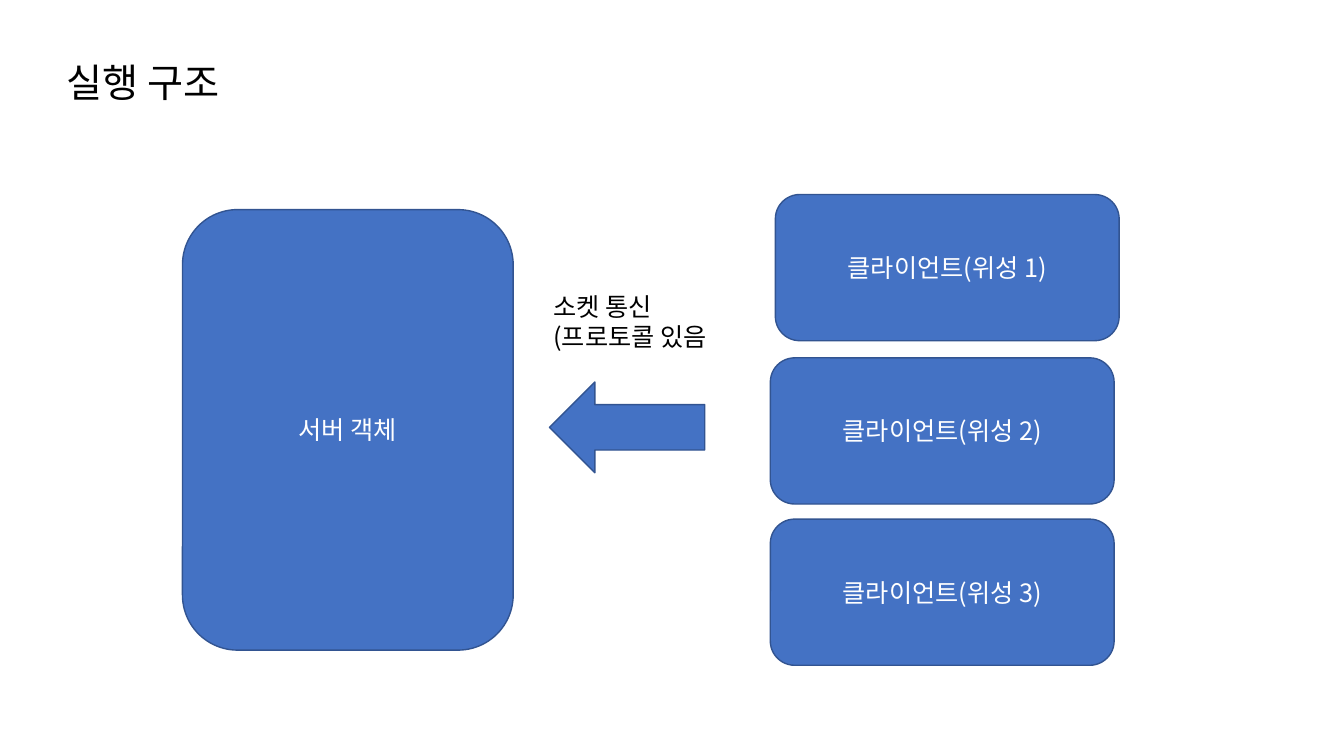
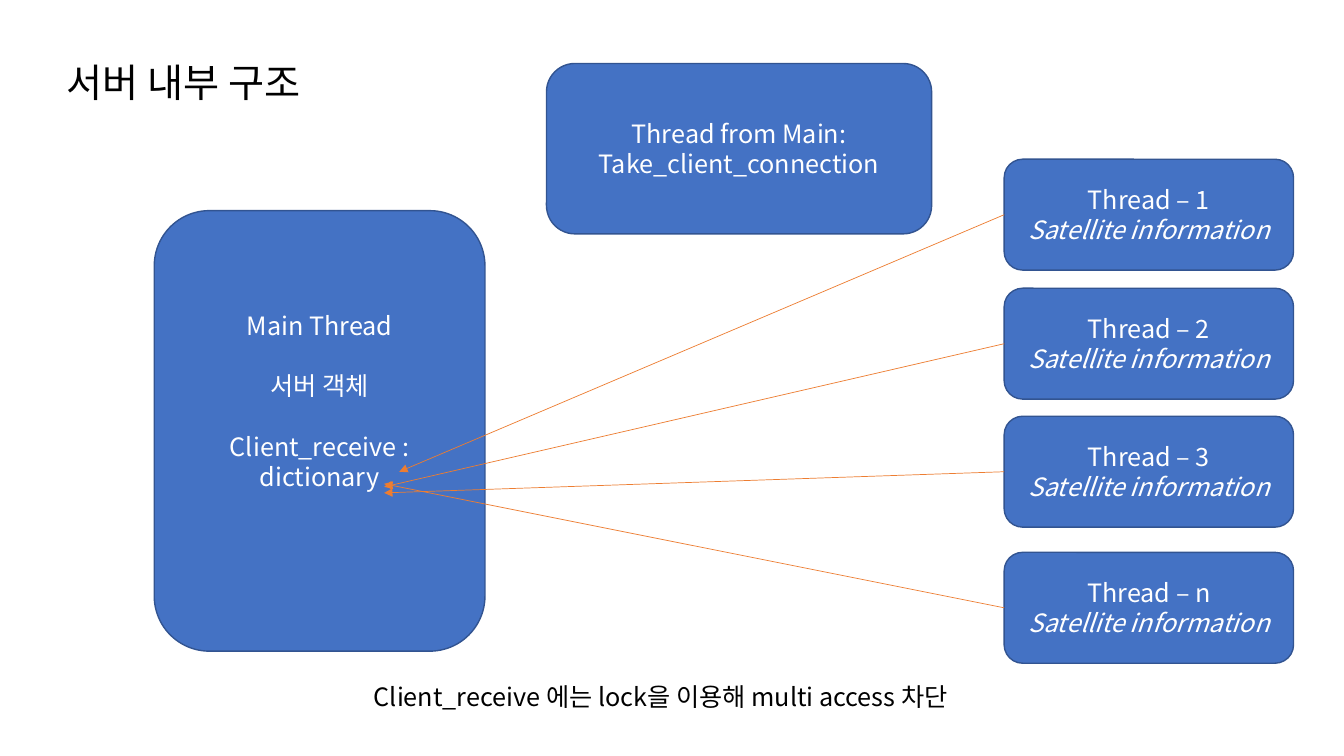
import pptx
import pptx.util
import pptx.dml.color
import pptx.enum.shapes
import pptx.enum.text
import pptx.oxml.ns
from lxml import etree

Inches = pptx.util.Inches
Pt = pptx.util.Pt
rgb = pptx.dml.color.RGBColor.from_string
qn = pptx.oxml.ns.qn
Shape = pptx.enum.shapes.MSO_SHAPE
Align = pptx.enum.text.PP_ALIGN
Anchor = pptx.enum.text.MSO_ANCHOR

FONT = "Noto Sans CJK KR"
BLUE, BLUE_EDGE, ORANGE = "4472C4", "325491", "ED7D31"
WHITE, BLACK = "FFFFFF", "000000"


def write(frame, lines, color=BLACK, align=Align.LEFT, size=18, anchor=Anchor.TOP):
    frame.word_wrap = True
    frame.vertical_anchor = anchor
    frame.text = "\n".join(lines)
    for para in frame.paragraphs:
        para.alignment = align
        para.line_spacing = Pt(size * 1.2)
        para.font.size = Pt(size)
        para.font.name = FONT
        para.font.color.rgb = rgb(color)
        defaults = para._p.pPr.find(qn("a:defRPr"))
        etree.SubElement(defaults, qn("a:ea"), typeface=FONT)


def add_block(page, kind, left, top, width, height, lines=()):
    block = page.shapes.add_shape(
        kind, Inches(left), Inches(top), Inches(width), Inches(height))
    block.shadow.inherit = False
    block.fill.solid()
    block.fill.fore_color.rgb = rgb(BLUE)
    block.line.color.rgb = rgb(BLUE_EDGE)
    block.line.width = Pt(1)
    if lines:
        write(block.text_frame, lines, WHITE, Align.CENTER, anchor=Anchor.MIDDLE)
    return block


deck = pptx.Presentation()
deck.slide_width = Inches(13.33)
deck.slide_height = Inches(7.5)

pages = []
for heading in ["실행 구조", "서버 내부 구조"]:
    page = deck.slides.add_slide(deck.slide_layouts[5])
    title = page.shapes.title
    title.left, title.top = Inches(0.56), Inches(0.53)
    title.width, title.height = Inches(6.11), Inches(0.57)
    title.text_frame.auto_size = pptx.enum.text.MSO_AUTO_SIZE.NONE
    write(title.text_frame, [heading], size=28)
    pages.append(page)
overview, server = pages

add_block(overview, Shape.ROUNDED_RECTANGLE, 1.81, 2.08, 3.28, 4.37, ["서버 객체"])
add_block(overview, Shape.LEFT_ARROW, 5.45, 3.79, 1.54, 0.9)
clients = [(7.69, 1.93), (7.64, 3.55), (7.64, 5.15)]
for number, (left, top) in enumerate(clients, 1):
    add_block(overview, Shape.ROUNDED_RECTANGLE, left, top, 3.41, 1.45,
              [f"클라이언트(위성 {number})"])
socket_label = overview.shapes.add_textbox(
    Inches(5.39), Inches(2.84), Inches(1.91), Inches(0.71))
write(socket_label.text_frame, ["소켓 통신", "(프로토콜 있음"])

main_thread = add_block(
    server, Shape.ROUNDED_RECTANGLE, 1.53, 2.09, 3.28, 4.37,
    ["Main Thread", "서버 객체", "Client_receive : dictionary"])
main_thread.text_frame.margin_bottom = Inches(0.65)
for para in main_thread.text_frame.paragraphs[1:]:
    para.space_before = Pt(21.6)

add_block(server, Shape.ROUNDED_RECTANGLE, 5.42, 0.63, 3.82, 1.69,
          ["Thread from Main:", "Take_client_connection"])

threads = [
    ("1", 1.58, 3.96, 4.68),
    ("2", 2.86, 3.81, 4.83),
    ("3", 4.13, 3.81, 4.89),
    ("n", 5.48, 3.81, 4.8),
]
for name, top, end_x, end_y in threads:
    thread = add_block(server, Shape.ROUNDED_RECTANGLE, 9.96, top, 2.87, 1.1,
                       [f"Thread – {name}", "Satellite information"])
    thread.text_frame.paragraphs[1].font.italic = True
    arrow = server.shapes.add_connector(
        pptx.enum.shapes.MSO_CONNECTOR.STRAIGHT,
        Inches(9.96), Inches(top + 0.55), Inches(end_x), Inches(end_y))
    arrow.begin_connect(thread, 1)
    arrow.line.color.rgb = rgb(ORANGE)
    arrow.line.width = Pt(0.5)
    etree.SubElement(arrow.line._get_or_add_ln(), qn("a:tailEnd"), type="triangle")
    etree.SubElement(arrow._element.spPr, qn("a:effectLst"))

lock_note = server.shapes.add_textbox(
    Inches(3.61), Inches(6.71), Inches(6.5), Inches(0.4))
write(lock_note.text_frame, ["Client_receive 에는 lock을 이용해 multi access 차단"])

deck.save("out.pptx")
